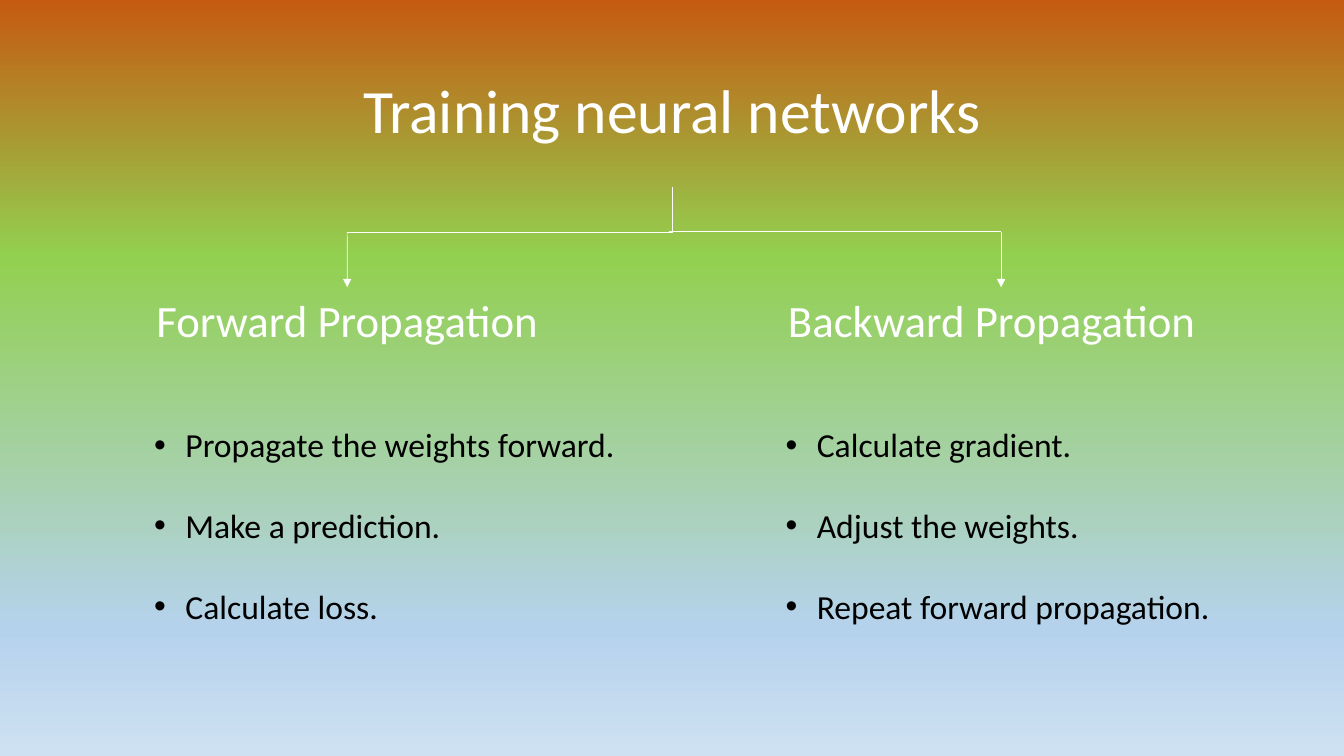
from dataclasses import dataclass

from lxml.etree import SubElement
from pptx import Presentation
from pptx.dml.color import RGBColor
from pptx.enum.shapes import MSO_CONNECTOR
from pptx.enum.text import MSO_ANCHOR, MSO_AUTO_SIZE, PP_ALIGN
from pptx.oxml.ns import qn
from pptx.shapes.base import BaseShape
from pptx.shapes.connector import Connector
from pptx.slide import Slide
from pptx.util import Inches, Pt

SLIDE_WIDTH, SLIDE_HEIGHT = Inches(13.33), Inches(7.5)
COMPARISON_LAYOUT = 4
FONT = "Calibri"
WHITE, BLACK = "FFFFFF", "000000"
BACKGROUND_STOPS = [(0, "C55A11"), (34, "92D050"), (83, "B5D2EC"), (100, "CEE1F2")]

# All positions are percentages of the slide's width or height.
HEADING_TOP, HEADING_HEIGHT = 38, 8.53
LIST_TOP, LIST_WIDTH = 50.13, 37.5
TITLE_TOP, TITLE_BOTTOM, BRANCH_ROW = 5.33, 24.67, 30.67
CENTRE, BAR_START = 50, 49.81


@dataclass
class Phase:
    heading: str
    steps: list[str]
    left: float
    heading_width: float
    list_height: float
    arrow_column: float
    heading_index: int
    list_index: int
    arrow_joins_heading: bool


FORWARD = Phase(
    "Forward Propagation",
    ["Propagate the weights forward.", "Make a prediction.", "Calculate loss."],
    10.72, 30.23, 32.13, 25.83, 1, 2, True)
BACKWARD = Phase(
    "Backward Propagation",
    ["Calculate gradient.", "Adjust the weights.", "Repeat forward propagation."],
    57.7, 32.18, 33.6, 74.49, 3, 4, False)


def across(percent: float) -> int:
    return round(SLIDE_WIDTH * percent / 100)


def down(percent: float) -> int:
    return round(SLIDE_HEIGHT * percent / 100)


def color(value: str) -> RGBColor:
    return RGBColor.from_string(value)


def paint_background(slide: Slide) -> None:
    fill = slide.background.fill
    fill.gradient()
    fill.gradient_angle = 270
    stops = next(slide.element.iter(qn("a:gsLst")))
    for stop in list(stops):
        stops.remove(stop)
    for position, value in BACKGROUND_STOPS:
        stop = SubElement(stops, qn("a:gs"), pos=str(position * 1000))
        SubElement(stop, qn("a:srgbClr"), val=value)


def place(shape: BaseShape, left: float, top: float, width: float, height: float) -> None:
    shape.left, shape.top = across(left), down(top)
    shape.width, shape.height = across(width), down(height)


def write(shape: BaseShape, lines: list[str], size: int, value: str, spacing: float,
          alignment: PP_ALIGN, anchor: MSO_ANCHOR, wrap: bool = True,
          bulleted: bool = False) -> None:
    frame = shape.text_frame
    frame.text = "\n".join(lines)
    frame.auto_size = MSO_AUTO_SIZE.NONE
    frame.word_wrap = wrap
    frame.vertical_anchor = anchor
    for paragraph in frame.paragraphs:
        paragraph.alignment = alignment
        paragraph.line_spacing = spacing
        paragraph.space_before = Pt(0)
        if bulleted:
            add_bullet(paragraph)
        for run in paragraph.runs:
            run.font.name, run.font.size, run.font.bold = FONT, Pt(size), False
            run.font.color.rgb = color(value)


def add_bullet(paragraph) -> None:
    properties = paragraph._p.get_or_add_pPr()
    indent = Inches(0.31)
    properties.set("marL", str(indent))
    properties.set("indent", str(-indent))
    SubElement(properties, qn("a:buFont"), typeface="Arial")
    SubElement(properties, qn("a:buChar"), char="•")


def style_line(line: Connector, arrow: bool = False) -> None:
    line.line.color.rgb = color(WHITE)
    line.line.width = Pt(0.5)
    if arrow:
        SubElement(line.line._get_or_add_ln(), qn("a:tailEnd"), type="triangle")
    SubElement(line._element.spPr, qn("a:effectLst"))


def add_line(slide: Slide, start: tuple[float, float], end: tuple[float, float],
             arrow: bool = False) -> Connector:
    line = slide.shapes.add_connector(
        MSO_CONNECTOR.STRAIGHT, across(start[0]), down(start[1]), across(end[0]), down(end[1]))
    style_line(line, arrow)
    return line


def add_elbow(slide: Slide, title: BaseShape, start: tuple[float, float],
              end: tuple[float, float]) -> None:
    """Draw a one-bend connector, down from the title and then left, as a quarter turn."""
    start_x, start_y, end_x, end_y = across(start[0]), down(start[1]), across(end[0]), down(end[1])
    drop, reach = end_y - start_y, start_x - end_x
    elbow = slide.shapes.add_connector(
        MSO_CONNECTOR.ELBOW, start_x, start_y, start_x + drop, start_y + reach)
    elbow.begin_connect(title, 2)
    elbow.left, elbow.top = (start_x + end_x - drop) // 2, (start_y + end_y - reach) // 2
    elbow.width, elbow.height = drop, reach
    properties = elbow._element.spPr
    properties.find(qn("a:xfrm")).set("rot", str(90 * 60000))
    properties.find(qn("a:prstGeom")).set("prst", "bentConnector2")
    style_line(elbow)


def add_phase(slide: Slide, phase: Phase) -> None:
    heading = slide.placeholders[phase.heading_index]
    place(heading, phase.left, HEADING_TOP, phase.heading_width, HEADING_HEIGHT)
    write(heading, [phase.heading], 32, WHITE, 1, PP_ALIGN.CENTER, MSO_ANCHOR.TOP, wrap=False)

    steps = slide.placeholders[phase.list_index]
    place(steps, phase.left, LIST_TOP, LIST_WIDTH, phase.list_height)
    write(steps, phase.steps, 24, BLACK, 2, PP_ALIGN.LEFT, MSO_ANCHOR.TOP, bulleted=True)

    arrow = add_line(slide, (phase.arrow_column, BRANCH_ROW),
                     (phase.arrow_column, HEADING_TOP), arrow=True)
    if phase.arrow_joins_heading:
        arrow.end_connect(heading, 0)


def main() -> None:
    presentation = Presentation()
    presentation.slide_width, presentation.slide_height = SLIDE_WIDTH, SLIDE_HEIGHT
    slide = presentation.slides.add_slide(presentation.slide_layouts[COMPARISON_LAYOUT])
    paint_background(slide)

    title = slide.shapes.title
    place(title, 6.87, TITLE_TOP, 86.26, TITLE_BOTTOM - TITLE_TOP)
    write(title, ["Training neural networks"], 44, WHITE, 0.9, PP_ALIGN.CENTER, MSO_ANCHOR.MIDDLE)

    add_elbow(slide, title, (CENTRE, TITLE_BOTTOM), (FORWARD.arrow_column, BRANCH_ROW))
    add_line(slide, (BAR_START, BRANCH_ROW), (BACKWARD.arrow_column, BRANCH_ROW))
    for phase in (FORWARD, BACKWARD):
        add_phase(slide, phase)
    presentation.save("out.pptx")


if __name__ == "__main__":
    main()
